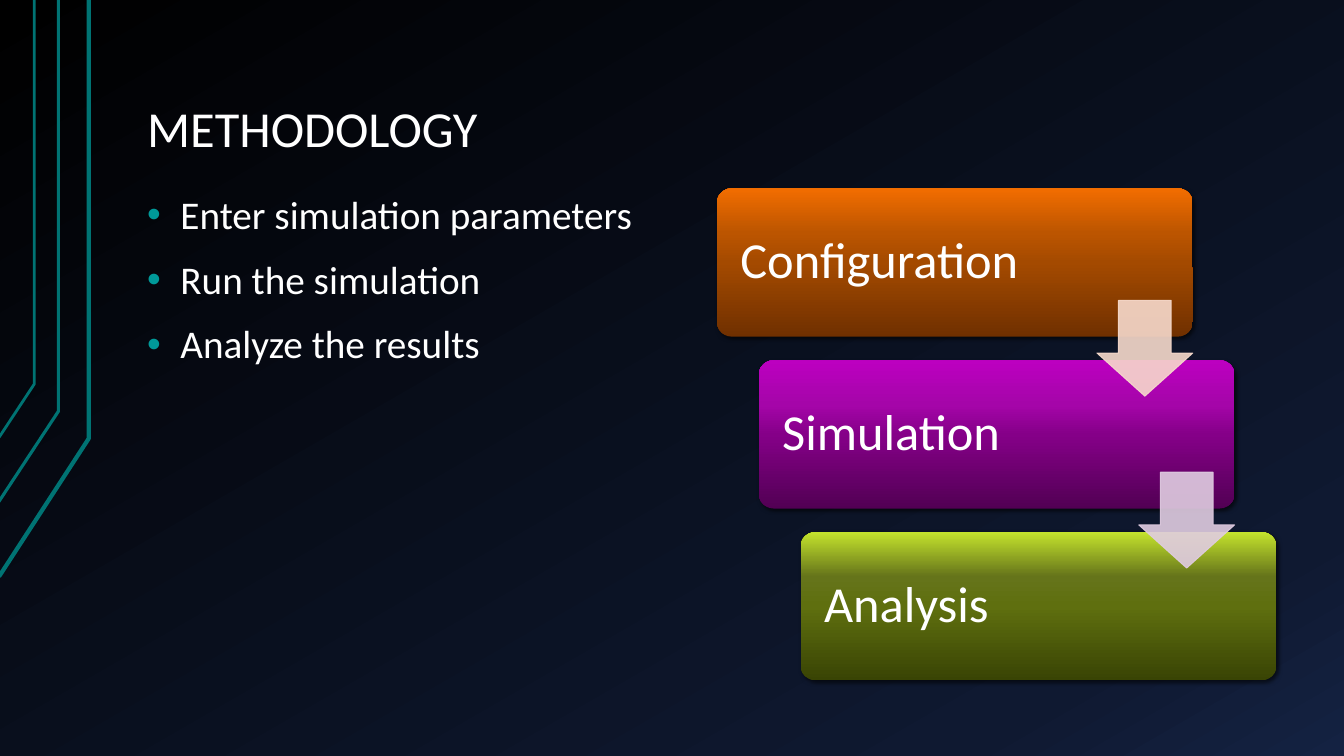
from lxml import etree
from pptx import Presentation
from pptx import util as u
from pptx.dml.color import RGBColor
from pptx.enum import shapes, text
from pptx.oxml.ns import qn

FONT = "Calibri"
WHITE = "FFFFFF"
STEPS = [
    ("Configuration", ["703000", "A44A00", "BC5500", "F26D00"], "F7DACC"),
    ("Simulation", ["520054", "850088", "A505A9", "BC00C0"], "E0CCE1"),
    ("Analysis", ["394404", "5F6F0F", "65741A", "C4E32D"], None),
]
POINTS = ["Enter simulation parameters", "Run the simulation", "Analyze the results"]
RAILS = [
    (3, [(-0.01, 5.72), (0.88, 4.35), (0.88, 0)]),
    (2.25, [(-0.02, 4.99), (0.58, 4.08), (0.58, 0)]),
    (2, [(-0.01, 4.34), (0.34, 3.81), (0.34, 0)]),
]


def rgb(code):
    return RGBColor.from_string(code)


def add(node, tag, **attrs):
    return etree.SubElement(node, qn(tag), {k: str(v) for k, v in attrs.items()})


def blend(fill, root, stops, angle):
    fill.gradient()
    grad = root.find(".//" + qn("a:gradFill"))
    for child in list(grad):
        grad.remove(child)
    group = add(grad, "a:gsLst")
    for place, code in stops:
        add(add(group, "a:gs", pos=place * 1000), "a:srgbClr", val=code)
    add(grad, "a:lin", ang=angle * 60000, scaled=0)


def write(frame, lines, size, anchor, pads):
    frame.word_wrap = True
    frame.vertical_anchor = anchor
    frame.margin_left, frame.margin_top, frame.margin_right, frame.margin_bottom = map(u.Inches, pads)
    frame.text = "\n".join(lines)
    for para in frame.paragraphs:
        para.alignment = text.PP_ALIGN.LEFT
        para.line_spacing = 0.9
        font = para.runs[0].font
        font.name, font.size = FONT, u.Pt(size)
        font.color.rgb = rgb(WHITE)


def draw_rails(slide):
    for width, spots in RAILS:
        dots = [(u.Inches(x), u.Inches(y)) for x, y in spots]
        pen = slide.shapes.build_freeform(*dots[0])
        pen.add_line_segments(dots[1:], close=False)
        rail = pen.convert_to_shape()
        rail.shadow.inherit = False
        rail.fill.background()
        rail.line.color.rgb = rgb("007373")
        rail.line.width = u.Pt(width)


def draw_title(slide, box):
    title = slide.shapes.add_textbox(*map(u.Inches, box))
    write(title.text_frame, ["METHODOLOGY"], 36, text.MSO_ANCHOR.BOTTOM, (0.13, 0.07, 0.13, 0.07))


def draw_list(slide, box):
    body = slide.shapes.add_textbox(*map(u.Inches, box))
    write(body.text_frame, POINTS, 28, text.MSO_ANCHOR.TOP, (0.13, 0.07, 0.13, 0.07))
    for para in body.text_frame.paragraphs:
        para.space_before = u.Pt(16)
        props = para._p.get_or_add_pPr()
        props.set("marL", str(u.Inches(0.33)))
        props.set("indent", str(-u.Inches(0.33)))
        add(add(props, "a:buClr"), "a:srgbClr", val="009999")
        add(props, "a:buFont", typeface="Arial")
        add(props, "a:buChar", char="•")


def draw_card(slide, box, label, tones):
    card = slide.shapes.add_shape(shapes.MSO_SHAPE.ROUNDED_RECTANGLE, *map(u.Inches, box))
    card.adjustments[0] = 0.1
    blend(card.fill, card._element, zip((0, 50, 70, 100), tones), 270)
    card.line.fill.background()
    card.shadow.inherit = False
    effect = card._element.spPr.find(qn("a:effectLst"))
    shade = add(effect, "a:outerShdw", blurRad=u.Pt(3), dist=u.Pt(2), dir=45 * 60000, rotWithShape=0)
    add(add(shade, "a:srgbClr", val="000000"), "a:alpha", val=60000)
    write(card.text_frame, [label], 36, text.MSO_ANCHOR.MIDDLE, (0.19, 0.15, 0.15, 0.15))


def draw_arrow(slide, box, tone):
    arrow = slide.shapes.add_shape(shapes.MSO_SHAPE.DOWN_ARROW, *map(u.Inches, box))
    arrow.adjustments[0], arrow.adjustments[1] = 0.55, 0.45
    arrow.shadow.inherit = False
    arrow.fill.solid()
    arrow.fill.fore_color.rgb = rgb(tone)
    arrow.line.color.rgb = rgb(tone)
    arrow.line.width = u.Pt(0.75)
    for node in arrow._element.spPr.iter(qn("a:srgbClr")):
        add(node, "a:alpha", val=90000)


def draw_flow(slide, box):
    left, top, width, height = box
    wide, tall, side = 4.72, 1.47, 0.95
    gaps = len(STEPS) - 1
    spots = [(left + i * (width - wide) / gaps, top + i * (height - tall) / gaps) for i in range(len(STEPS))]
    for (x, y), (label, tones, _) in zip(spots, STEPS):
        draw_card(slide, (x, y, wide, tall), label, tones)
    for (x, y), (_, _, tone) in zip(spots, STEPS):
        if tone:
            draw_arrow(slide, (x + wide - side, y + 1.11, side, side), tone)


def main():
    deck = Presentation()
    deck.slide_width, deck.slide_height = u.Inches(13.33), u.Inches(7.5)
    slide = deck.slides.add_slide(deck.slide_layouts[6])
    blend(slide.background.fill, slide._element, [(0, "000000"), (85, "0F1931"), (100, "142242")], 60)
    draw_rails(slide)
    draw_title(slide, (1.33, 0.3, 11.33, 1.34))
    draw_list(slide, (1.33, 1.87, 5.55, 4.88))
    draw_flow(slide, (7.11, 1.87, 5.55, 4.88))
    deck.save("out.pptx")


if __name__ == "__main__":
    main()
